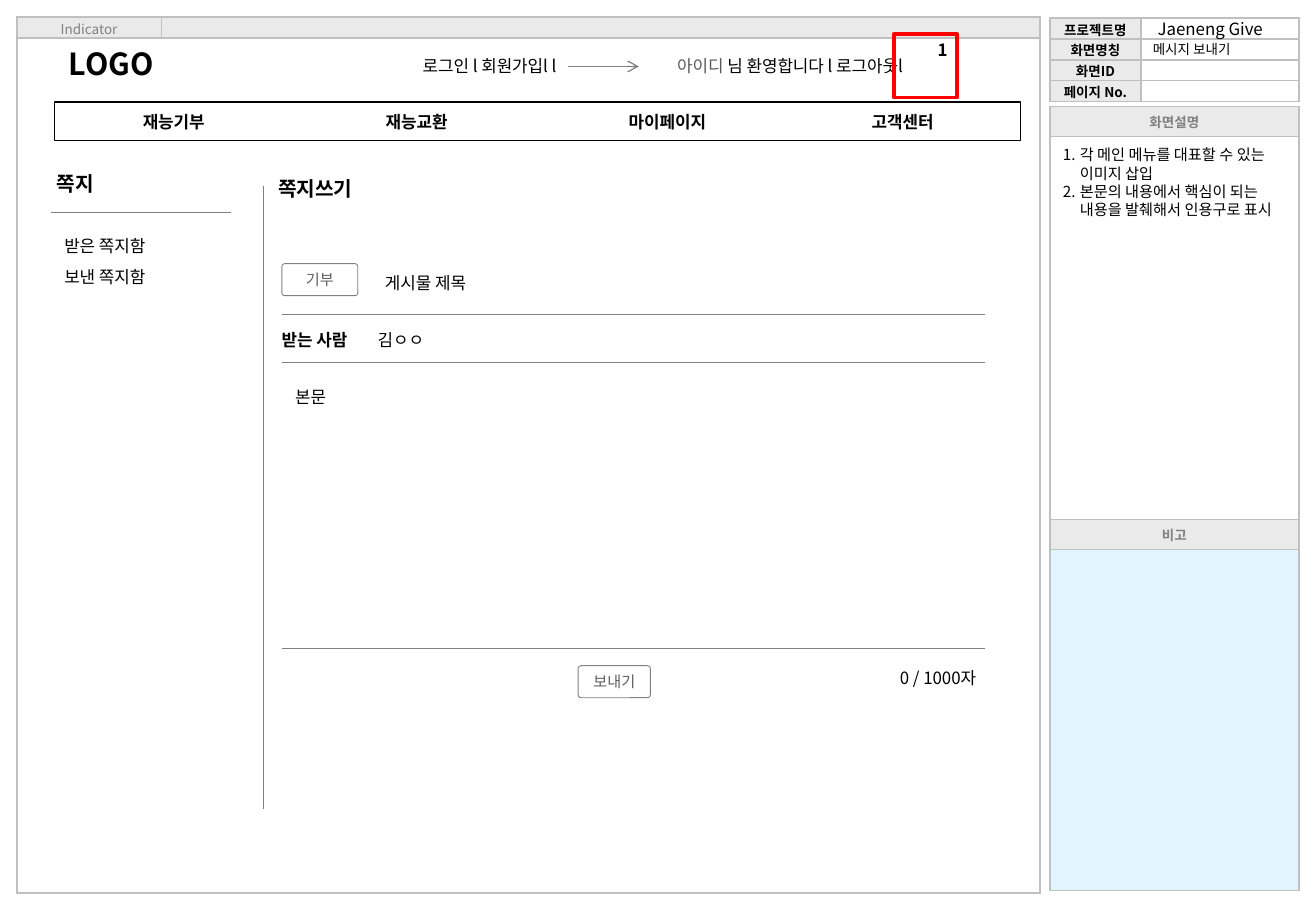
from lxml.etree import SubElement
from pptx import Presentation
from pptx.dml.color import RGBColor
from pptx.enum.shapes import MSO_CONNECTOR, MSO_SHAPE as SHAPE
from pptx.enum.text import MSO_ANCHOR as ANCHOR, PP_ALIGN as ALIGN
from pptx.oxml.ns import qn
from pptx.util import Pt

FONT = "Noto Sans CJK KR"
BLACK = RGBColor(0x00, 0x00, 0x00)
WHITE = RGBColor(0xFF, 0xFF, 0xFF)
RED = RGBColor(0xFF, 0x00, 0x00)
GRAY = RGBColor(0x80, 0x80, 0x80)
BUTTON_GRAY = RGBColor(0x5F, 0x5F, 0x5F)
ID_GRAY = RGBColor(0x59, 0x59, 0x59)
BORDER = RGBColor(0xC0, 0xC0, 0xC0)
HEADING_FILL = RGBColor(0xEA, 0xEA, 0xEA)
NOTE_FILL = RGBColor(0xE1, 0xF4, 0xFF)


def inside(box, left, top, width=0, height=0):
    """Turn a box given relative to a region into a slide box."""
    return box[0] + left, box[1] + top, width, height


def points(box):
    """Convert a box to lengths."""
    return [Pt(value) for value in box]


def style_paragraph(paragraph, size, color=BLACK, bold=False, align=ALIGN.LEFT):
    """Set the font and alignment of a paragraph."""
    paragraph.alignment = align
    font = paragraph.font
    font.size, font.bold = Pt(size), bold
    font.color.rgb = color
    font.name = FONT
    defaults = paragraph._p.pPr.find(qn("a:defRPr"))
    SubElement(defaults, qn("a:ea"), typeface=FONT)


def write(frame, lines, size, color=BLACK, bold=False, align=ALIGN.LEFT,
          spacing=None, wrap=False, anchor=ANCHOR.TOP, prepare=None):
    """Write one paragraph per line into a text frame."""
    frame.word_wrap, frame.vertical_anchor = wrap, anchor
    for index, line in enumerate(lines):
        paragraph = frame.add_paragraph() if index else frame.paragraphs[0]
        paragraph.text = line
        if spacing:
            paragraph.line_spacing = spacing
        if prepare:
            prepare(paragraph._p.get_or_add_pPr())
        style_paragraph(paragraph, size, color, bold, align)


def add_text(slide, box, lines, size, **options):
    """Add a text box."""
    text_box = slide.shapes.add_textbox(*points(box))
    write(text_box.text_frame, lines, size, **options)
    return text_box


def add_box(slide, box, line=None, weight=0.5, fill=WHITE, kind=SHAPE.RECTANGLE):
    """Add a flat shape with an optional outline and fill."""
    shape = slide.shapes.add_shape(kind, *points(box))
    shape.shadow.inherit = False
    if fill is None:
        shape.fill.background()
    else:
        shape.fill.solid()
        shape.fill.fore_color.rgb = fill
    if line is None:
        shape.line.fill.background()
    else:
        shape.line.color.rgb = line
        shape.line.width = Pt(weight)
    return shape


def add_button(slide, box, label):
    """Add a rounded button."""
    button = add_box(slide, box, GRAY, kind=SHAPE.ROUNDED_RECTANGLE)
    button.adjustments[0] = 0.09
    write(button.text_frame, [label], 9, color=BUTTON_GRAY,
          align=ALIGN.CENTER, anchor=ANCHOR.MIDDLE)


def add_line(slide, box, weight=0.75):
    """Add a gray line across the box."""
    left, top, width, height = box
    line = slide.shapes.add_connector(
        MSO_CONNECTOR.STRAIGHT, *points((left, top, left + width, top + height)))
    line.line.color.rgb = GRAY
    line.line.width = Pt(weight)
    SubElement(line._element.spPr, qn("a:effectLst"))
    return line


def style_cell(cell, fill, text, color, bold, anchor):
    """Set the border, fill and text of a table cell."""
    cell.margin_top = cell.margin_bottom = 0
    cell.margin_left = cell.margin_right = Pt(1)
    cell.vertical_anchor = anchor
    properties = cell._tc.get_or_add_tcPr()
    for side in ("lnL", "lnR", "lnT", "lnB"):
        border = SubElement(properties, qn(f"a:{side}"), w=str(Pt(1)))
        solid = SubElement(border, qn("a:solidFill"))
        SubElement(solid, qn("a:srgbClr"), val=str(BORDER))
    if fill is None:
        cell.fill.background()
    else:
        cell.fill.solid()
        cell.fill.fore_color.rgb = fill
    paragraph = cell.text_frame.paragraphs[0]
    paragraph.text = text
    style_paragraph(paragraph, 8, color, bold, ALIGN.CENTER)
    if not text:
        SubElement(paragraph._p, qn("a:endParaRPr"), sz="800")


def add_grid(slide, origin, columns, heights, rows, color, bold=True, anchor=ANCHOR.MIDDLE):
    """Add a table whose rows hold (text, fill) pairs."""
    box = (*origin, sum(columns), sum(heights))
    table = slide.shapes.add_table(len(heights), len(columns), *points(box)).table
    table.first_row = table.horz_banding = False
    for column, width in zip(table.columns, columns):
        column.width = Pt(width)
    for row, height, values in zip(table.rows, heights, rows):
        row.height = Pt(height)
        for cell, (text, fill) in zip(row.cells, values):
            style_cell(cell, fill, text, color, bold, anchor)
    return table


def draw_screen_frame(slide, box):
    """Draw the frame of the screen with its indicator bar."""
    left, top, width, height = box
    table = add_grid(
        slide, (left, top), [85.5, width - 85.5], [12.4, height - 12.4],
        [[("Indicator", HEADING_FILL), ("", HEADING_FILL)], [("", None), ("", None)]],
        GRAY, bold=False, anchor=ANCHOR.BOTTOM)
    table.cell(1, 0).merge(table.cell(1, 1))


def number_item(properties):
    """Make a paragraph a numbered item with a hanging indent."""
    properties.set("marL", str(Pt(10)))
    properties.set("indent", str(-Pt(10)))
    SubElement(properties, qn("a:buFont"), typeface=FONT)
    SubElement(properties, qn("a:buAutoNum"), type="arabicPeriod")


def draw_side_panel(slide, box):
    """Draw the project data, the description and the remarks."""
    left, top, width, height = box
    labels = ("프로젝트명", "화면명칭", "화면ID", "페이지 No.")
    add_grid(slide, (left, top), [54, width - 54], [12.4] * 4,
             [[(label, HEADING_FILL), ("", None)] for label in labels],
             BLACK, anchor=ANCHOR.BOTTOM)
    add_grid(slide, (left, top + 52.3), [width], [18, 227, 17.7, height - 315],
             [[("화면설명", HEADING_FILL)], [("", WHITE)],
              [("비고", HEADING_FILL)], [("", NOTE_FILL)]], GRAY)
    project = add_box(slide, inside(box, 56.8, 2.3, 85, 7.9))
    write(project.text_frame, ["Jaeneng Give"], 10, anchor=ANCHOR.MIDDLE)
    add_text(slide, inside(box, 53.9, 9.5, 98.6, 17.3), ["메시지 보내기"], 8,
             wrap=True, anchor=ANCHOR.MIDDLE)
    add_text(slide, inside(box, 0.6, 72.1, 146, 72.7),
             ["각 메인 메뉴를 대표할 수 있는 이미지 삽입",
              "본문의 내용에서 핵심이 되는 내용을 발췌해서 인용구로 표시"],
             9, wrap=True, prepare=number_item)


def set_menu_tabs(properties):
    """Space the menu entries evenly."""
    stops = SubElement(properties, qn("a:tabLst"))
    for index in range(1, 4):
        SubElement(stops, qn("a:tab"), pos=str(Pt(144 * index)), algn="l")


def draw_header(slide, box):
    """Draw the logo text, the login bar, the marker and the menu."""
    add_text(slide, inside(box, 1.4, 3, 75.6, 28.8), ["LOGO"], 18, bold=True)
    login = add_text(slide, inside(box, 195.1, 9.5, 109.4, 19.4),
                     ["로그인 l 회원가입l l"], 10, align=ALIGN.RIGHT)
    welcome = add_text(slide, inside(box, 338.6, 9.5, 171.2, 19.4), [""], 10,
                       align=ALIGN.RIGHT)
    for text, color in (("아이디 ", ID_GRAY), ("님 환영합니다 l 로그아웃l", BLACK)):
        run = welcome.text_frame.paragraphs[0].add_run()
        run.text = text
        run.font.color.rgb = color
    arrow = add_line(slide, inside(box, 304.5, 19.2, 41.8))
    arrow.begin_connect(login, 3)
    SubElement(arrow._element.spPr.find(qn("a:ln")), qn("a:tailEnd"), type="arrow")
    menu = add_box(slide, inside(box, 0, 40.3, 572.4, 23), BLACK, 0.75)
    menu.text_frame.margin_left = Pt(52.2)
    write(menu.text_frame, ["재능기부\t재능교환\t마이페이지\t고객센터"], 10, bold=True,
          anchor=ANCHOR.MIDDLE, prepare=set_menu_tabs)
    add_box(slide, inside(box, 497.3, 0, 37.6, 37.6), RED, 2.25, fill=None)
    add_text(slide, inside(box, 516.2, 0, 23, 19.4), ["1"], 10, bold=True)


def draw_mailbox_menu(slide, box):
    """Draw the list of message folders and the divider beside it."""
    add_text(slide, inside(box, 0, 0, 38.9, 21.6), ["쪽지"], 12, bold=True)
    add_line(slide, inside(box, 3.6, 28, 106.6))
    add_text(slide, inside(box, 4.4, 32.4, 68.4, 43.9),
             ["받은 쪽지함", "보낸 쪽지함"], 10, spacing=1.5)
    add_line(slide, inside(box, box[2], 12.2, 0, box[3] - 12.2))


def draw_message_form(slide, box):
    """Draw the form for writing a message."""
    add_text(slide, inside(box, 0, 0, 63.4, 21.6), ["쪽지쓰기"], 12, bold=True)
    add_button(slide, inside(box, 9.4, 55.5, 45, 19), "기부")
    add_button(slide, inside(box, 185, 293.8, 42.8, 19), "보내기")
    for top in (85.7, 113.8, 283.7):
        add_line(slide, inside(box, 9.2, top, 416.8), 0.5)
    fields = (("게시물 제목", False, 63.4, 51.1, 355.7),
              ("받는 사람", True, 2.2, 85, 58.3),
              ("김ㅇㅇ", False, 59, 85, 44.6),
              ("본문", False, 10.1, 118.8, 426.2),
              ("0 / 1000자", False, 368.6, 285.1, 64.8))
    for text, bold, left, top, width in fields:
        add_text(slide, inside(box, left, top, width, 25.2), [text], 10,
                 bold=bold, spacing=1.5)


def main():
    """Build the slide and save it."""
    presentation = Presentation()
    presentation.slide_width, presentation.slide_height = Pt(780), Pt(540)
    slide = presentation.slides.add_slide(presentation.slide_layouts[6])
    draw_screen_frame(slide, (10.1, 10.1, 606.3, 519.2))
    draw_side_panel(slide, (622.3, 10.7, 147.6, 517))
    draw_header(slide, (32.4, 20.2, 572.4, 63.4))
    draw_mailbox_menu(slide, (26.6, 97.9, 129.6, 381.6))
    draw_message_form(slide, (157.7, 100.8, 436, 313))
    presentation.save("out.pptx")


if __name__ == "__main__":
    main()
